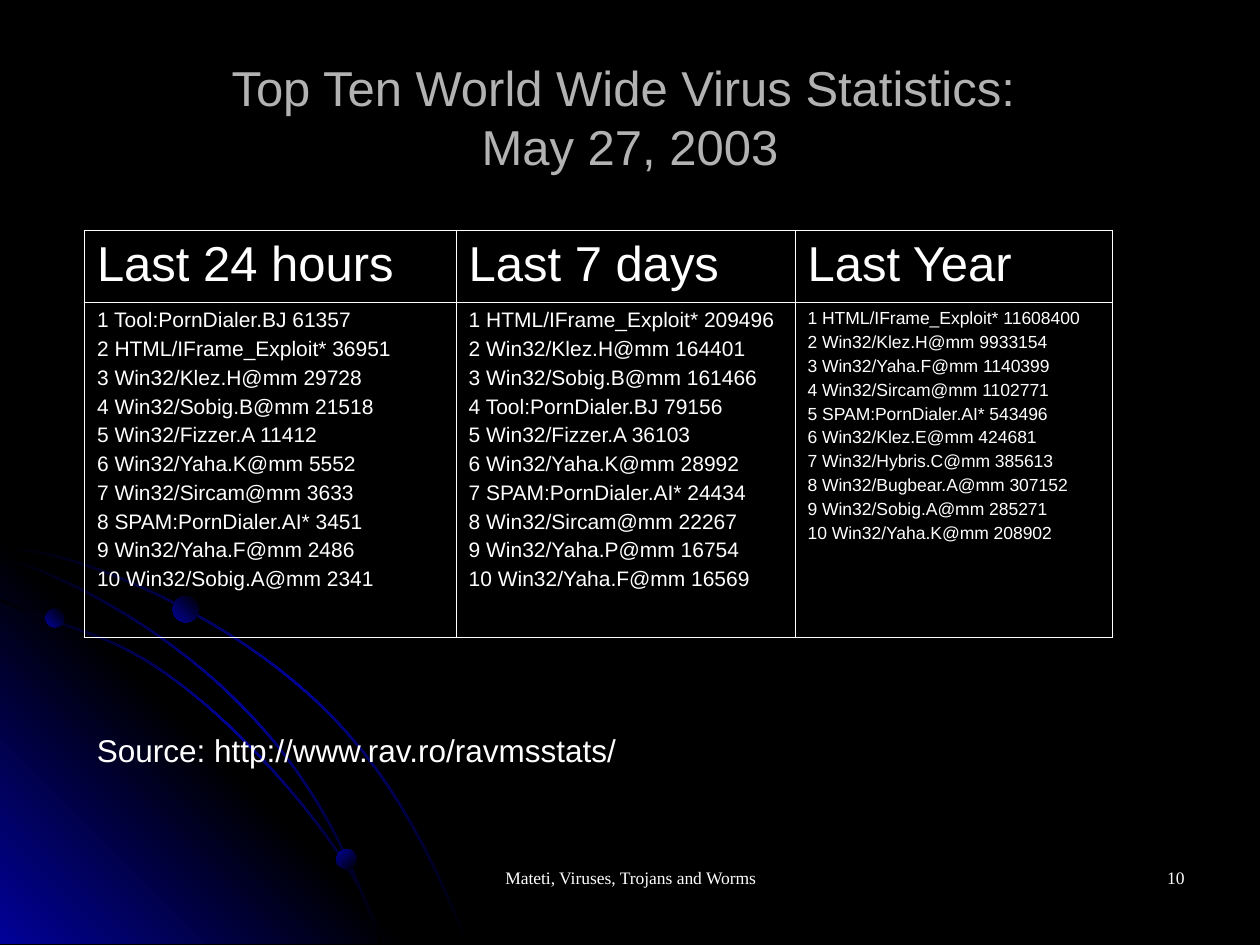
"""Build the slide of virus statistics for three periods."""
from collections import namedtuple
from copy import deepcopy
from math import prod

from pptx import Presentation
from pptx.dml.color import RGBColor
from pptx.enum.shapes import MSO_SHAPE
from pptx.enum.text import MSO_ANCHOR, MSO_AUTO_SIZE, PP_ALIGN
from pptx.oxml import parse_xml
from pptx.oxml.ns import nsdecls, qn
from pptx.util import Inches, Pt

BLACK, BLUE, GREY, WHITE = "000000", "010199", "B2B2B2", "FFFFFF"
SANS, SERIF = "Arial", "Times New Roman"
THIN, THICK = 0.45, 1.08
TO_UPPER_LEFT, TO_LOWER_LEFT = 225, 135
SWOOSH_WIDTH, SWOOSH_STEPS = 0.02, 32

Period = namedtuple("Period", "heading width size hanging viruses")
PERIODS = [
    Period("Last 24 hours", 2.95, 12, 0.58, [
        "Tool:PornDialer.BJ 61357", "HTML/IFrame_Exploit* 36951",
        "Win32/Klez.H@mm 29728", "Win32/Sobig.B@mm 21518",
        "Win32/Fizzer.A 11412", "Win32/Yaha.K@mm 5552",
        "Win32/Sircam@mm 3633", "SPAM:PornDialer.AI* 3451",
        "Win32/Yaha.F@mm 2486", "Win32/Sobig.A@mm 2341"]),
    Period("Last 7 days", 2.69, 12, 0, [
        "HTML/IFrame_Exploit* 209496", "Win32/Klez.H@mm 164401",
        "Win32/Sobig.B@mm 161466", "Tool:PornDialer.BJ 79156",
        "Win32/Fizzer.A 36103", "Win32/Yaha.K@mm 28992",
        "SPAM:PornDialer.AI* 24434", "Win32/Sircam@mm 22267",
        "Win32/Yaha.P@mm 16754", "Win32/Yaha.F@mm 16569"]),
    Period("Last Year", 2.52, 10, 0, [
        "HTML/IFrame_Exploit* 11608400", "Win32/Klez.H@mm 9933154",
        "Win32/Yaha.F@mm 1140399", "Win32/Sircam@mm 1102771",
        "SPAM:PornDialer.AI* 543496", "Win32/Klez.E@mm 424681",
        "Win32/Hybris.C@mm 385613", "Win32/Bugbear.A@mm 307152",
        "Win32/Sobig.A@mm 285271", "Win32/Yaha.K@mm 208902"]),
]

CORNER = [(0, 4.27), (3.22, 7.49), (0, 7.49)]
UPPER_SWOOSH = [(0, 4.35), (0.98, 4.59), (2.09, 5.21), (3, 6.11), (3.72, 7.49)]
LOWER_SWOOSH = [(0, 4.75), (0.79, 5.05), (1.52, 5.49), (2.42, 6.4), (3.03, 7.49)]
MIDDLE_SWOOSH = [(0, 4.42), (0.76, 4.73), (1.75, 5.43), (2.54, 6.39), (3.03, 7.49)]
BALLS = [(0.36, 4.83, 0.15, TO_LOWER_LEFT), (2.67, 6.74, 0.16, TO_UPPER_LEFT),
         (1.37, 4.73, 0.21, TO_LOWER_LEFT)]


def colour(code):
    """Turn a hex string into a colour."""
    return RGBColor.from_string(code)


def curve_point(knots, progress):
    """Return the point at a progress from 0 to 1 on the smooth curve through the knots."""
    place = progress * (len(knots) - 1)
    weights = [prod((place - other) / (knot - other)
                    for other in range(len(knots)) if other != knot)
               for knot in range(len(knots))]
    return tuple(sum(weight * value for weight, value in zip(weights, axis))
                 for axis in zip(*knots))


def ribbon(knots):
    """Return the outline of a thin band below the curve through the knots."""
    upper, lower = [], []
    for step in range(SWOOSH_STEPS + 1):
        progress = step / SWOOSH_STEPS
        x, y = curve_point(knots, progress)
        upper.append((x, y))
        lower.append((x - SWOOSH_WIDTH * progress, y + SWOOSH_WIDTH * (1 - progress)))
    return upper + lower[::-1]


def write(paragraph, text, *, size, font=SANS, ink=WHITE, align=PP_ALIGN.LEFT,
          before=0, hanging=0):
    """Fill a paragraph with formatted text."""
    paragraph.text = text
    paragraph.alignment = align
    if before:
        paragraph.space_before = Pt(before)
    if hanging:
        properties = paragraph._p.get_or_add_pPr()
        properties.set("marL", str(Inches(hanging)))
        properties.set("indent", str(-Inches(hanging)))
    for run in paragraph.runs:
        run.font.name = font
        run.font.size = Pt(size)
        run.font.color.rgb = colour(ink)


class Deck:
    """Hold the style and the current slide."""

    def __init__(self, background):
        """Start a presentation with one blank slide."""
        self.presentation = Presentation()
        self.presentation.slide_width = Inches(10)
        self.presentation.slide_height = Inches(7.5)
        self.slide = self.presentation.slides.add_slide(self.presentation.slide_layouts[6])
        self.slide.background.fill.solid()
        self.slide.background.fill.fore_color.rgb = colour(background)

    def shade(self, shape, inks, direction):
        """Give a shape an evenly spaced gradient and no outline."""
        shape.shadow.inherit = False
        shape.line.fill.background()
        shape.fill.gradient()
        shape.fill.gradient_angle = 360 - direction
        stops = shape._element.spPr.find(qn("a:gradFill")).find(qn("a:gsLst"))
        for _ in inks[2:]:
            stops.append(deepcopy(stops[-1]))
        for index, (stop, ink) in enumerate(zip(shape.fill.gradient_stops, inks)):
            stop.position = index / (len(inks) - 1)
            stop.color.rgb = colour(ink)

    def polygon(self, points, inks, direction):
        """Draw a closed, shaded polygon."""
        start, *others = [(Inches(x), Inches(y)) for x, y in points]
        builder = self.slide.shapes.build_freeform(*start)
        builder.add_line_segments(others, close=True)
        self.shade(builder.convert_to_shape(), inks, direction)

    def swoosh(self, knots):
        """Draw a curved band that glows in its middle."""
        self.polygon(ribbon(knots), [BLACK, BLUE, BLACK], TO_UPPER_LEFT)

    def ball(self, left, top, diameter, direction):
        """Draw a shaded ball."""
        ball = self.slide.shapes.add_shape(
            MSO_SHAPE.OVAL, Inches(left), Inches(top), Inches(diameter), Inches(diameter))
        self.shade(ball, [BLACK, BLUE], direction)

    def text(self, text, left, top, width, height, anchor=MSO_ANCHOR.TOP, wrap=True, **style):
        """Place a text box."""
        frame = self.slide.shapes.add_textbox(
            Inches(left), Inches(top), Inches(width), Inches(height)).text_frame
        frame.word_wrap = wrap
        frame.vertical_anchor = anchor
        if not wrap:
            frame.auto_size = MSO_AUTO_SIZE.SHAPE_TO_FIT_TEXT
        write(frame.paragraphs[0], text, **style)

    def border(self, cell, **widths):
        """Rule the sides of a cell and clear its fill."""
        properties = cell._tc.get_or_add_tcPr()
        for side, width in widths.items():
            properties.append(parse_xml(
                f'<a:ln{side} {nsdecls("a")} w="{Pt(width)}"><a:solidFill>'
                f'<a:srgbClr val="{colour(WHITE)}"/></a:solidFill></a:ln{side}>'))
        cell.fill.background()

    def ranking(self, cell, period):
        """List the viruses of a period with their ranks."""
        frame = cell.text_frame
        for rank, virus in enumerate(period.viruses, 1):
            first = rank == 1
            entry = frame.paragraphs[0] if first else frame.add_paragraph()
            write(entry, f"{rank} {virus}", size=period.size, hanging=period.hanging,
                  before=0 if first else period.size / 4)

    def table(self, periods, left, top, heights):
        """Add a table with one ranked list per period."""
        table = self.slide.shapes.add_table(
            len(heights), len(periods), Inches(left), Inches(top),
            Inches(sum(period.width for period in periods)), Inches(sum(heights))).table
        table.first_row = table.horz_banding = False
        for row, height in zip(table.rows, heights):
            row.height = Inches(height)
        for column, period in enumerate(periods):
            table.columns[column].width = Inches(period.width)
            head, body = table.cell(0, column), table.cell(1, column)
            sides = {"L": THICK if period is periods[0] else THIN,
                     "R": THICK if period is periods[-1] else THIN}
            self.border(head, **sides, T=THICK, B=THIN)
            self.border(body, **sides, T=THIN, B=THICK)
            write(head.text_frame.paragraphs[0], period.heading, size=28)
            self.ranking(body, period)


def main():
    """Build and save the slide."""
    deck = Deck(BLACK)
    deck.swoosh(UPPER_SWOOSH)
    deck.polygon(CORNER, [BLUE, BLACK, BLUE], TO_LOWER_LEFT)
    for knots in (LOWER_SWOOSH, MIDDLE_SWOOSH):
        deck.swoosh(knots)
    for ball in BALLS:
        deck.ball(*ball)
    deck.text("Top Ten World Wide Virus Statistics: \vMay 27, 2003", 0.5, 0.3, 9, 1.25,
              anchor=MSO_ANCHOR.MIDDLE, size=28, ink=GREY, align=PP_ALIGN.CENTER)
    deck.table(PERIODS, 0.67, 1.83, heights=[0.57, 2.66])
    deck.text("Source: http://www.rav.ro/ravmsstats/", 0.67, 5.75, 4.35, 0.4,
              wrap=False, size=18)
    footer = {"top": 6.83, "height": 0.5, "size": 10, "font": SERIF}
    deck.text("Mateti, Viruses, Trojans and Worms", left=3.42, width=3.17,
              align=PP_ALIGN.CENTER, **footer)
    deck.text("10", left=7.17, width=2.33, align=PP_ALIGN.RIGHT, **footer)
    deck.presentation.save("out.pptx")


if __name__ == "__main__":
    main()
